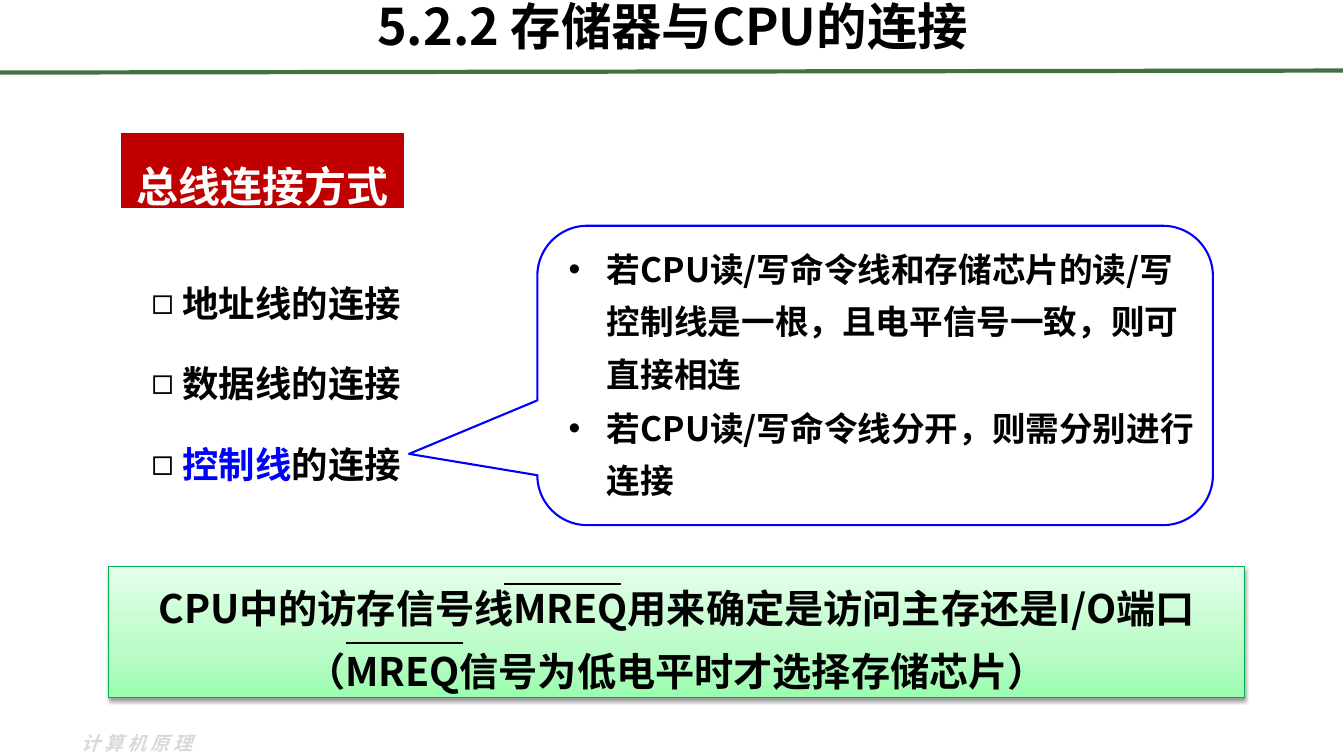
from copy import deepcopy
from dataclasses import dataclass
from typing import Any

from pptx import Presentation, oxml
from pptx import util as u
from pptx.dml import color as dml
from pptx.enum import shapes, text
from pptx.oxml import ns

SCALE = 9144
NS = ns.nsdecls("a")


@dataclass(frozen=True)
class Theme:
    sans: str = "Noto Sans CJK SC"
    alt: str = "Noto Sans CJK JP"
    ink: str = "000000"
    white: str = "FFFFFF"
    blue: str = "0000FF"
    red: str = "C00000"
    wine: str = "A50021"
    moss: str = "3F7141"
    leaf: str = "00B04E"
    pale: str = "D9D9D9"
    mint: tuple = ((0, "E4FFE9"), (0.65, "BAFCC7"), (1, "9BFDAF"))
    head: float = 36
    label: float = 30
    note: float = 28
    list: float = 26
    call: float = 24
    foot: float = 13.5


@dataclass(frozen=True)
class Box:
    left: int
    top: int
    width: int
    height: int


@dataclass(frozen=True)
class Run:
    words: str
    color: str


@dataclass(frozen=True)
class Style:
    size: float
    font: str
    space: float = 1
    center: bool = True
    bullet: str = ""
    hang: int = 0


@dataclass(frozen=True)
class Line:
    start: tuple[int, int]
    end: tuple[int, int]
    color: str
    weight: float


T = Theme()


def px(n: int) -> int:
    return n * SCALE


def rgb(code: str) -> dml.RGBColor:
    return dml.RGBColor.from_string(code)


def place(shape: Any, box: Box) -> None:
    shape.left, shape.top = px(box.left), px(box.top)
    shape.width, shape.height = px(box.width), px(box.height)


def mark(para: Any, style: Style) -> None:
    props = para._p.get_or_add_pPr()
    props.set("marL", str(px(style.hang)))
    props.set("indent", str(-px(style.hang)))
    props.set("hangingPunct", "0")
    props.append(oxml.parse_xml(f'<a:buChar {NS} char="{style.bullet}"/>'))


def write(shape: Any, paras: list[list[Run]], style: Style, anchor: Any) -> None:
    frame = shape.text_frame
    frame.word_wrap = True
    frame.auto_size = text.MSO_AUTO_SIZE.NONE
    frame.vertical_anchor = anchor
    for i, runs in enumerate(paras):
        para = frame.paragraphs[0] if i == 0 else frame.add_paragraph()
        para.alignment = text.PP_ALIGN.CENTER if style.center else text.PP_ALIGN.LEFT
        para.line_spacing = style.space
        para.space_before = u.Pt(round(style.size * 0.05, 1))
        if style.bullet:
            mark(para, style)
        for item in runs:
            run = para.add_run()
            run.text = item.words
            font = run.font
            font.size, font.bold, font.name = u.Pt(style.size), True, style.font
            font.color.rgb = rgb(item.color)
            face = oxml.parse_xml(f'<a:ea {NS} typeface="{style.font}"/>')
            run._r.rPr.find(ns.qn("a:latin")).addnext(face)


def panel(slide: Any, kind: Any, box: Box, edge: str, weight: float) -> Any:
    shape = slide.shapes.add_shape(kind, 0, 0, 0, 0)
    place(shape, box)
    shape.shadow.inherit = False
    shape.line.color.rgb = rgb(edge)
    shape.line.width = u.Pt(weight)
    return shape


def draw(slide: Any, line: Line) -> None:
    ends = [px(n) for n in line.start + line.end]
    stroke = slide.shapes.add_connector(shapes.MSO_CONNECTOR.STRAIGHT, *ends)
    stroke.line.color.rgb = rgb(line.color)
    stroke.line.width = u.Pt(line.weight)
    stroke._element.spPr.append(oxml.parse_xml(f"<a:effectLst {NS}/>"))


def blend(shape: Any, stops: tuple) -> None:
    fill = shape.fill
    fill.gradient()
    fill.gradient_angle = 270
    first = shape._element.spPr.find(".//" + ns.qn("a:gs"))
    first.addnext(deepcopy(first))
    for stop, (spot, code) in zip(fill.gradient_stops, stops):
        stop.position = spot
        stop.color.rgb = rgb(code)


def shade(shape: Any) -> None:
    shape._element.spPr.find(ns.qn("a:effectLst")).append(oxml.parse_xml(
        f'<a:outerShdw {NS} blurRad="{u.Pt(3.1)}" dist="{u.Pt(1.6)}" dir="5400000" '
        f'rotWithShape="0"><a:srgbClr val="{T.ink}"><a:alpha val="38000"/>'
        "</a:srgbClr></a:outerShdw>"))


def main() -> None:
    deck = Presentation()
    deck.slide_width, deck.slide_height = u.Inches(13.33), u.Inches(7.5)
    slide = deck.slides.add_slide(deck.slide_layouts[3])
    title, buses, rules = slide.placeholders
    top, mid = text.MSO_ANCHOR.TOP, text.MSO_ANCHOR.MIDDLE
    kinds = shapes.MSO_SHAPE

    foot = slide.shapes.add_textbox(0, 0, 0, 0)
    place(foot, Box(71, 721, 146, 34))
    write(foot, [[Run("计算机原理", T.pale)]], Style(T.foot, T.sans, center=False), top)
    font = foot.text_frame.paragraphs[0].runs[0].font
    font.italic = True
    font._element.set("spc", "300")

    draw(slide, Line((0, 72), (1332, 70), T.moss, 3))
    place(title, Box(67, -3, 1200, 85))
    write(title, [[Run("5.2.2 存储器与CPU的连接", T.ink)]], Style(T.head, T.sans, 0.9), top)

    label = panel(slide, kinds.RECTANGLE, Box(121, 132, 279, 74), T.wine, 0.75)
    label.fill.solid()
    label.fill.fore_color.rgb = rgb(T.red)
    write(label, [[Run("总线连接方式", T.white)]], Style(T.label, T.sans, 1.6), mid)

    place(buses, Box(118, 239, 312, 241))
    write(buses, [
        [Run(" 地址线的连接", T.ink)],
        [Run(" 数据线的连接", T.ink)],
        [Run(" ", T.ink), Run("控制线", T.blue), Run("的连接", T.ink)],
    ], Style(T.list, T.sans, 1.8, bullet="◻"), top)

    call = panel(slide, kinds.ROUNDED_RECTANGULAR_CALLOUT, Box(533, 224, 670, 297), T.blue, 1.5)
    call.fill.background()
    for i, value in enumerate((-0.69, 0.262, 0.167)):
        call.adjustments[i] = value
    place(rules, Box(554, 230, 640, 271))
    write(rules, [
        [Run("若CPU读/写命令线和存储芯片的读/写控制线是一根，且电平信号一致，则可直接相连", T.ink)],
        [Run("若CPU读/写命令线分开，则需分别进行连接", T.ink)],
    ], Style(T.call, T.sans, 1.3, False, "•", 38), top)

    note = panel(slide, kinds.RECTANGLE, Box(108, 562, 1126, 130), T.leaf, 0.75)
    blend(note, T.mint)
    shade(note)
    write(note, [
        [Run("CPU中的访存信号线MREQ用来确定是访问主存还是I/O端口", T.ink)],
        [Run("（MREQ信号为低电平时才选择存储芯片）", T.ink)],
    ], Style(T.note, T.alt, 1.3), mid)
    for left, level in ((500, 579), (343, 638)):
        draw(slide, Line((left, level), (left + 116, level), T.ink, 1.5))

    deck.save("out.pptx")


if __name__ == "__main__":
    main()
